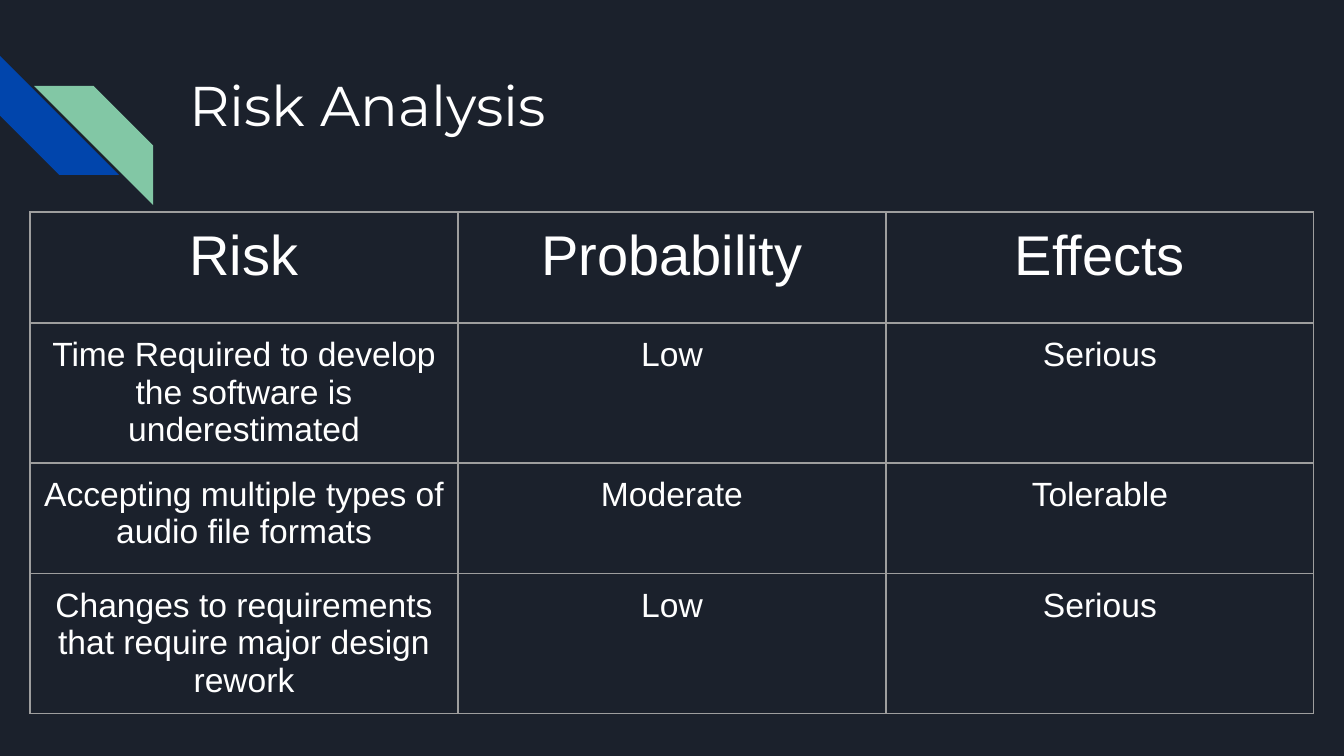
from lxml import etree
from pptx import Presentation
from pptx import util as u
from pptx.dml.color import RGBColor
from pptx.enum import shapes, text
from pptx.oxml import ns

PX_PER_INCH = 134.4
NAVY = RGBColor(0x1B, 0x21, 0x2C)
BLUE = RGBColor(0x01, 0x45, 0xAC)
GREEN = RGBColor(0x82, 0xC7, 0xA5)
GREY = RGBColor(0x9E, 0x9E, 0x9E)
WHITE = RGBColor(0xFF, 0xFF, 0xFF)

PADDING = 13
COLUMN_WIDTH = 428
ROW_HEIGHTS = [111, 140, 111, 140]
RISKS = [
    ("Risk", "Probability", "Effects"),
    ("Time Required to develop the software is underestimated", "Low", "Serious"),
    ("Accepting multiple types of audio file formats", "Moderate", "Tolerable"),
    ("Changes to requirements that require major design rework", "Low", "Serious"),
]


def px(length):
    return u.Emu(round(length * u.Inches(1) / PX_PER_INCH))


def set_padding(target):
    target.margin_left = target.margin_right = px(PADDING)
    target.margin_top = target.margin_bottom = px(PADDING)


def add_run(paragraph, words, size, font_name):
    run = paragraph.add_run()
    run.text = words
    run.font.size = u.Pt(size)
    run.font.name = font_name
    run.font.color.rgb = WHITE


def add_stripe(slide, left, top, rotation, color):
    stripe = slide.shapes.add_shape(
        shapes.MSO_SHAPE.DIAGONAL_STRIPE, px(left), px(top), px(119), px(119))
    stripe.rotation = rotation
    stripe.shadow.inherit = False
    stripe.fill.solid()
    stripe.fill.fore_color.rgb = color
    stripe.line.fill.background()


def set_title(slide, words):
    title = slide.shapes.title
    title.left, title.top, title.width, title.height = map(px, (176, 58, 1035, 134))
    frame = title.text_frame
    set_padding(frame)
    frame.word_wrap = True
    frame.auto_size = text.MSO_AUTO_SIZE.NONE
    frame.vertical_anchor = text.MSO_ANCHOR.TOP
    paragraph = frame.paragraphs[0]
    paragraph.alignment = text.PP_ALIGN.LEFT
    add_run(paragraph, words, 30, "Montserrat")


def set_borders(cell):
    properties = cell._tc.get_or_add_tcPr()
    for position, side in enumerate(("lnL", "lnR", "lnT", "lnB")):
        line = etree.Element(ns.qn("a:" + side), w=str(u.Pt(0.75)))
        fill = etree.SubElement(line, ns.qn("a:solidFill"))
        etree.SubElement(fill, ns.qn("a:srgbClr"), val=str(GREY))
        properties.insert(position, line)


def fill_cell(cell, words, size):
    set_padding(cell)
    cell.vertical_anchor = text.MSO_ANCHOR.TOP
    cell.fill.background()
    set_borders(cell)
    paragraph = cell.text_frame.paragraphs[0]
    paragraph.alignment = text.PP_ALIGN.CENTER
    add_run(paragraph, words, size, "Arial")


def add_risk_table(slide, left, top):
    column_count = len(RISKS[0])
    table = slide.shapes.add_table(
        len(RISKS), column_count, px(left), px(top),
        px(COLUMN_WIDTH * column_count), px(sum(ROW_HEIGHTS))).table
    table.first_row = table.horz_banding = False
    for column in table.columns:
        column.width = px(COLUMN_WIDTH)
    for row_index, (row, height) in enumerate(zip(table.rows, ROW_HEIGHTS)):
        row.height = px(height)
        size = 30 if row_index == 0 else 18
        for cell, words in zip(row.cells, RISKS[row_index]):
            fill_cell(cell, words, size)


def main():
    presentation = Presentation()
    presentation.slide_width, presentation.slide_height = px(1344), px(756)
    slide = presentation.slides.add_slide(presentation.slide_layouts[5])

    # Background and corner stripes
    slide.background.fill.solid()
    slide.background.fill.fore_color.rgb = NAVY
    add_stripe(slide, 0, 56, 270, BLUE)
    add_stripe(slide, 34, 86, 90, GREEN)

    # Title and risk table
    set_title(slide, "Risk Analysis")
    add_risk_table(slide, 30, 212)

    presentation.save("out.pptx")


if __name__ == "__main__":
    main()
